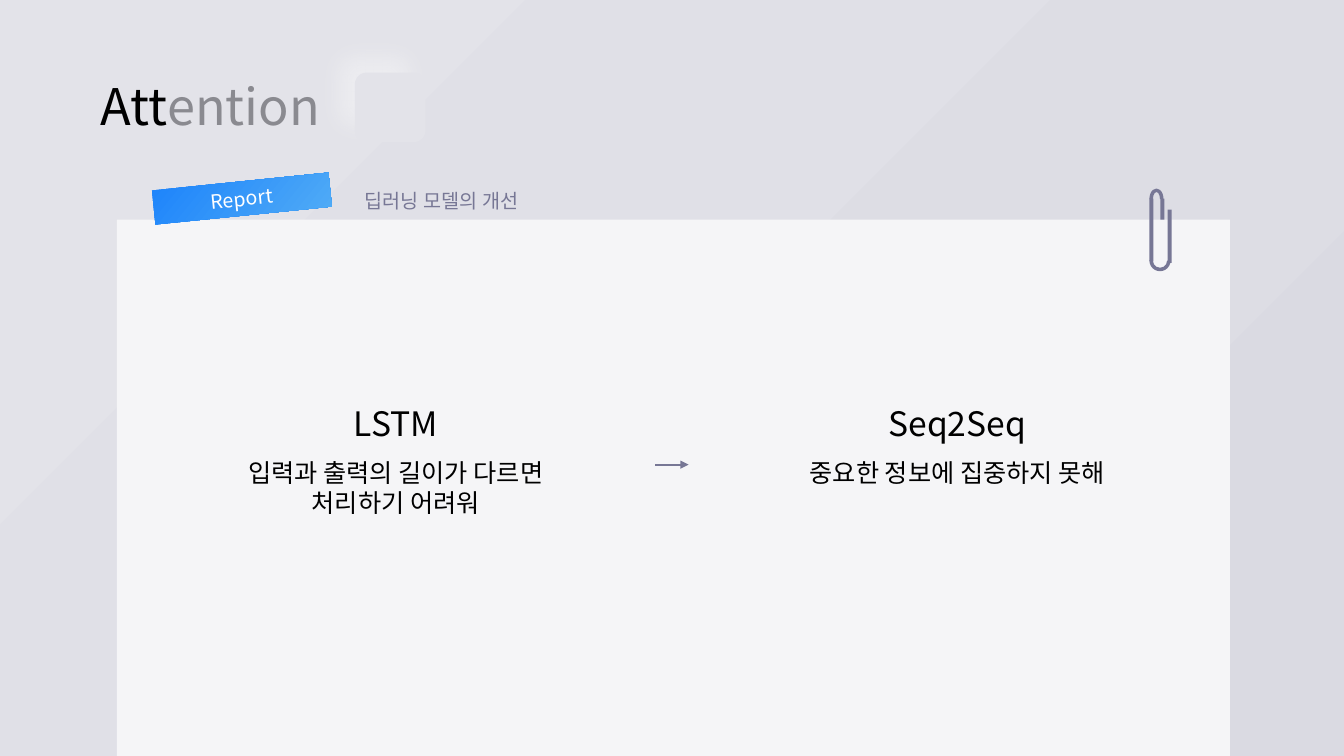
from pptx import Presentation
from pptx import util as u
from pptx.dml.color import RGBColor
from pptx.enum import shapes, text
from pptx.oxml import parse_xml
from pptx.oxml.ns import nsdecls, qn

FONT = "Noto Sans CJK KR"
BLACK, ACCENT, PAPER, MIST = "000000", "777795", "F5F5F7", "E3E3E9"
SHAPE = shapes.MSO_SHAPE
CENTER, LEFT = text.PP_ALIGN.CENTER, text.PP_ALIGN.LEFT


def rgb(value):
    return RGBColor.from_string(value)


def inches(*lengths):
    return [u.Inches(length) for length in lengths]


def paint_gradient(fill, start, end):
    """Diagonal gradient from top left to bottom right."""
    fill.gradient()
    fill.gradient_angle = 315
    for stop, color in zip(fill.gradient_stops, (start, end)):
        stop.color.rgb = rgb(color)


def add_block(parent, kind, box, color, rotation=0, adjustments=()):
    block = parent.add_shape(kind, *inches(*box))
    block.shadow.inherit = False
    block.fill.solid()
    block.fill.fore_color.rgb = rgb(color)
    block.line.fill.background()
    block.rotation = rotation
    for index, value in enumerate(adjustments):
        block.adjustments[index] = value
    return block


def write(frame, paragraphs, size, align=CENTER, spacing=None):
    """Each paragraph is a list of (words, color) runs."""
    frame.word_wrap = True
    for index, runs in enumerate(paragraphs):
        paragraph = frame.add_paragraph() if index else frame.paragraphs[0]
        paragraph.alignment = align
        if spacing:
            paragraph.line_spacing = spacing
        for words, color in runs:
            run = paragraph.add_run()
            run.text = words
            formats = {"name": FONT, "size": u.Pt(size)}
            for attribute, value in formats.items():
                setattr(run.font, attribute, value)
            run.font.color.rgb = rgb(color)
            east_asian = parse_xml(f'<a:ea {nsdecls("a")} typeface="{FONT}"/>')
            run.font._element.find(qn("a:latin")).addnext(east_asian)


def add_words(slide, box, paragraphs, size, **layout):
    frame = slide.shapes.add_textbox(*inches(*box)).text_frame
    write(frame, paragraphs, size, **layout)
    frame.auto_size = text.MSO_AUTO_SIZE.SHAPE_TO_FIT_TEXT


def add_heading(slide, left, top):
    add_words(slide, (left, top, 3.83, 0.71),
              [[("Att", BLACK), ("ention", "8A8A90")]], 36)
    # Soft tile with a light glow to its upper left
    tile = add_block(slide.shapes, SHAPE.ROUNDED_RECTANGLE,
                     (left + 3.35, top + 0.02, 0.7, 0.69), MIST)
    effects = tile._element.spPr.find(qn("a:effectLst"))
    effects.append(parse_xml(
        f'<a:outerShdw {nsdecls("a")} blurRad="{u.Pt(18)}" dist="{u.Pt(16)}" '
        f'dir="{225 * 60000}" algn="br" rotWithShape="0">'
        f'<a:srgbClr val="{PAPER}"><a:alpha val="60000"/></a:srgbClr></a:outerShdw>'))


def add_tab(slide, left, top):
    # Tilted label
    label = add_block(slide.shapes, SHAPE.RECTANGLE,
                      (left, top, 1.76, 0.34), ACCENT, rotation=354.2)
    paint_gradient(label.fill, "1B82FB", "52ADF6")
    label.text_frame.vertical_anchor = text.MSO_ANCHOR.MIDDLE
    write(label.text_frame, [[("Report", "FFFFFF")]], 14)
    # Topic beside the label
    add_words(slide, (left + 2, top + 0.03, 4.91, 0.34),
              [[("딥러닝 모델의 개선", ACCENT)]], 14, align=LEFT)


def add_clip(slide, left, top):
    clip = slide.shapes.add_group_shape().shapes
    # Bends
    add_block(clip, SHAPE.BLOCK_ARC, (left, top, 0.14, 0.21), ACCENT)
    add_block(clip, SHAPE.BLOCK_ARC, (left, top + 0.61, 0.21, 0.21), ACCENT,
              180, (108, 0.879, 0.164))
    # Wires
    for dx, dy, height in ((0, 0.1, 0.62), (0.18, 0.21, 0.53), (0.11, 0.1, 0.21)):
        add_block(clip, SHAPE.RECTANGLE, (left + dx, top + dy, 0.04, height), ACCENT)


def add_model(slide, left, top, name, problem):
    add_words(slide, (left, top, 4.63, 0.65), [[(name, BLACK)]], 24, spacing=1.5)
    add_words(slide, (left + 0.16, top + 0.74, 4.31, 0.1 + 0.3 * len(problem)),
              [[(line, BLACK)] for line in problem], 18)


def add_arrow(slide, left, top, length):
    arrow = slide.shapes.add_connector(
        shapes.MSO_CONNECTOR.STRAIGHT, *inches(left, top, left + length, top))
    arrow.line.color.rgb = rgb(ACCENT)
    arrow.line.width = u.Pt(1.5)
    arrow.line._get_or_add_ln().append(
        parse_xml(f'<a:tailEnd {nsdecls("a")} type="triangle"/>'))
    arrow._element.spPr.append(parse_xml(f'<a:effectLst {nsdecls("a")}/>'))


def build_report_slide(deck):
    slide = deck.slides.add_slide(deck.slide_layouts[6])
    paint_gradient(slide.background.fill, MIST, "DADAE2")
    # Sheet of paper
    add_block(slide.shapes, SHAPE.RECTANGLE, (1.16, 2.18, 11.04, 5.32), PAPER)
    add_heading(slide, 0.17, 0.7)
    # Models compared
    add_model(slide, 1.61, 3.75, "LSTM",
              ["입력과 출력의 길이가 다르면", "처리하기 어려워"])
    add_arrow(slide, 6.5, 4.61, 0.33)
    add_model(slide, 7.18, 3.75, "Seq2Seq", ["중요한 정보에 집중하지 못해"])
    # Sheet trimmings
    add_tab(slide, 1.52, 1.8)
    add_clip(slide, 11.4, 1.87)


def main():
    deck = Presentation()
    deck.slide_width, deck.slide_height = inches(13.33, 7.5)
    build_report_slide(deck)
    deck.save("out.pptx")


if __name__ == "__main__":
    main()
